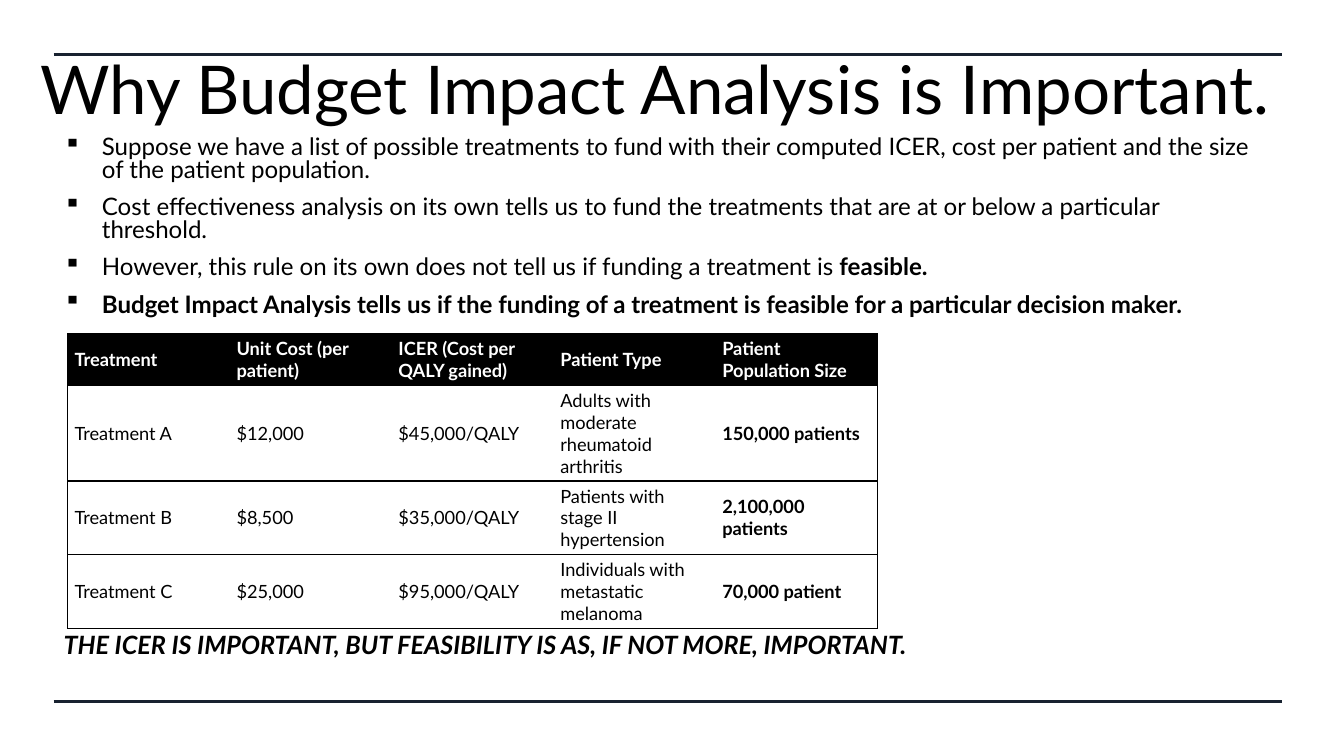
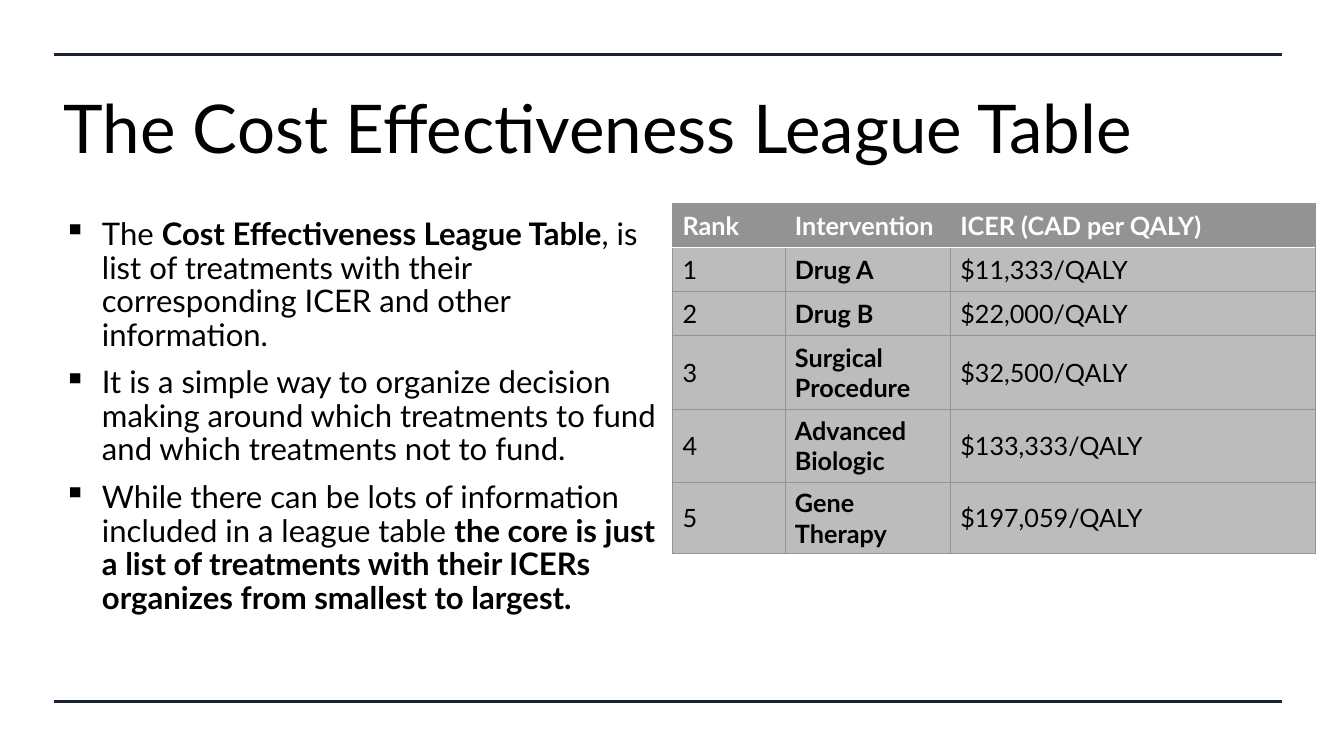
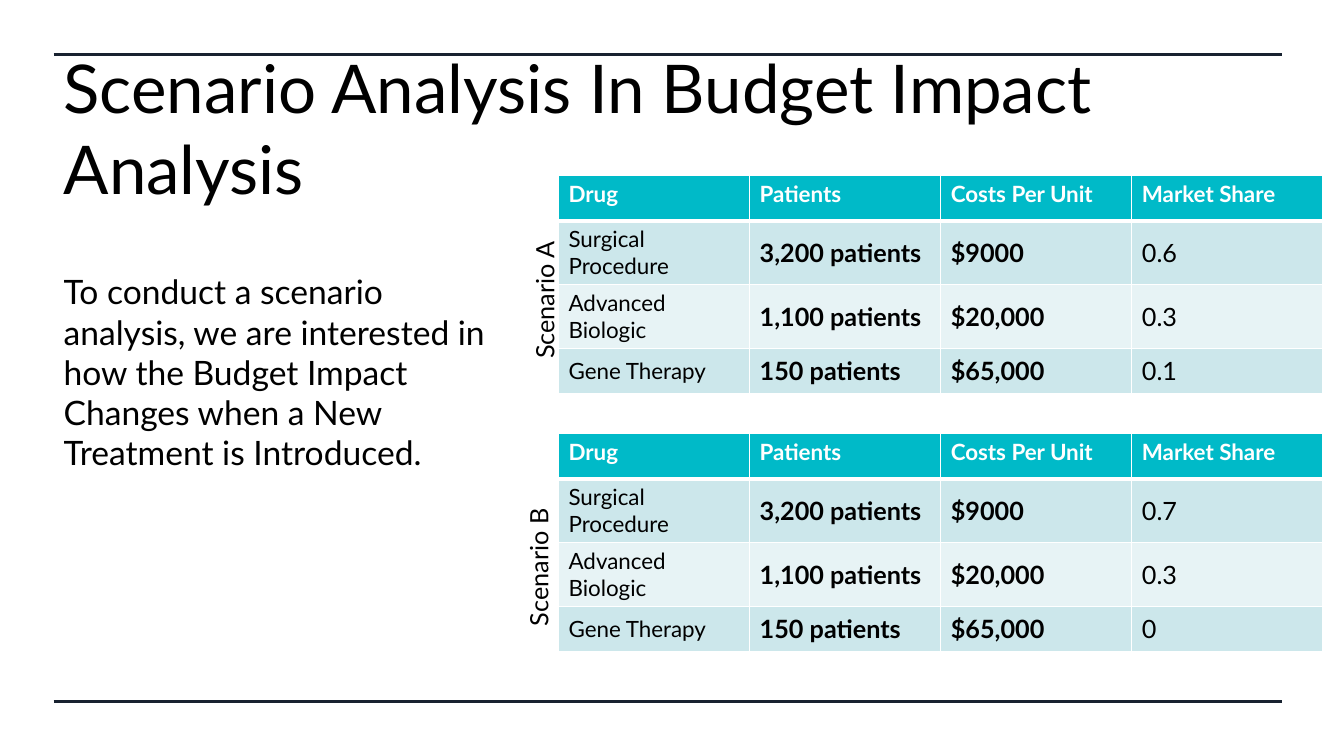
from dataclasses import dataclass
from typing import Any, NamedTuple

from lxml.etree import SubElement as Sub
from pptx import Presentation
from pptx.dml.color import RGBColor as RGB
from pptx.enum.shapes import MSO_CONNECTOR as Link
from pptx.enum.text import MSO_ANCHOR as Anchor
from pptx.oxml.ns import qn
from pptx.util import Emu, Inches, Pt

WIDE, HIGH = Inches(13.33), Inches(7.5)
FACE = "Lato"
BLACK, WHITE, NAVY, GREY, TEAL = "000000", "FFFFFF", "182230", "939393", "00BAC8"
LEFT, RIGHT = 4, 95.4


class Box(NamedTuple):
    x: float
    y: float
    w: float
    h: float


class Edge(NamedTuple):
    tint: str
    size: float


@dataclass(frozen=True)
class Text:
    box: Box
    lines: tuple[str, ...]
    size: float
    gap: float = 1.0
    mark: str = ""
    bold: bool = False
    slant: bool = False
    wrap: bool = True
    turn: int = 0
    anchor: Any = Anchor.TOP


@dataclass(frozen=True)
class Look:
    head: str
    bands: tuple[str, ...]
    edge: Edge
    rule: Edge
    sizes: tuple[float, ...]
    top: float
    bold: tuple[int, ...]
    grid: bool = True
    pad: tuple[float, float] = (0.1, 0.05)
    anchor: Any = Anchor.MIDDLE


@dataclass(frozen=True)
class Grid:
    x: float
    y: float
    cols: tuple[float, ...]
    rows: tuple[float, ...]
    cells: tuple[tuple[str, ...], ...]
    look: Look


TITLE = Box(LEFT, 8.67, 87.25, 16.27)
PLAIN = Look(BLACK, (WHITE,), Edge(BLACK, 1), Edge(BLACK, 1), (13,) * 5, 13, (4,),
             grid=False, pad=(0.07, 0.04))
LEAGUE = Look(GREY, ("BCBCBC",), Edge(GREY, 0.5), Edge(WHITE, 1), (18,) * 3, 18, (1,))
SHARE = Look(TEAL, ("CCE7EB", "E7F3F5"), Edge(WHITE, 1), Edge(WHITE, 3),
             (16, 18, 18, 18), 16, (1, 2), anchor=Anchor.TOP)


def color(code: str) -> RGB:
    """Turn a hex string into a colour."""
    return RGB.from_string(code)


def across(share: float) -> Emu:
    """Turn a percentage of the slide's width into a length."""
    return Emu(round(WIDE * share / 100))


def down(share: float) -> Emu:
    """Turn a percentage of the slide's height into a length."""
    return Emu(round(HIGH * share / 100))


def apply(item: Any, form: dict[str, Any]) -> None:
    """Set each format value on an object."""
    for name, value in form.items():
        setattr(item, name, value)


def write(para: Any, text: str, size: float, tint: str = BLACK,
          bold: bool = False, slant: bool = False) -> None:
    """Add runs to a paragraph, with ** around its bold parts."""
    for n, part in enumerate(text.split("**")):
        if part:
            run = para.add_run()
            run.text = part
            apply(run.font, {"name": FACE, "size": Pt(size),
                             "bold": bold or n % 2 == 1, "italic": slant})
            run.font.color.rgb = color(tint)


def bullet(para: Any, mark: str) -> None:
    """Give a paragraph a hanging bullet."""
    props = para._p.get_or_add_pPr()
    props.set("marL", str(Inches(0.38)))
    props.set("indent", str(-Inches(0.38)))
    Sub(props, qn("a:buChar")).set("char", mark)


def put(slide: Any, text: Text) -> None:
    """Draw a text box."""
    b = text.box
    shape = slide.shapes.add_textbox(across(b.x), down(b.y), across(b.w), down(b.h))
    shape.rotation = text.turn
    frame = shape.text_frame
    apply(frame, {"word_wrap": text.wrap, "vertical_anchor": text.anchor})
    for n, line in enumerate(text.lines):
        para = frame.add_paragraph() if n else frame.paragraphs[0]
        if text.mark:
            bullet(para, text.mark)
        apply(para, {"line_spacing": text.gap, "space_before": Pt(10 if n else 0)})
        write(para, line, text.size, bold=text.bold, slant=text.slant)


def border(cell: Any, sides: dict[str, Edge | None]) -> None:
    """Draw or clear the four borders of a cell."""
    props = cell._tc.get_or_add_tcPr()
    for side, edge in sides.items():
        line = Sub(props, qn(f"a:ln{side}"))
        if edge:
            line.set("w", str(Pt(edge.size)))
            Sub(Sub(line, qn("a:solidFill")), qn("a:srgbClr")).set("val", edge.tint)
        else:
            line.set("w", "0")
            Sub(line, qn("a:noFill"))


def chart(slide: Any, grid: Grid) -> None:
    """Draw a table in its look."""
    look, last = grid.look, len(grid.cols) - 1
    table = slide.shapes.add_table(
        len(grid.rows), len(grid.cols), across(grid.x), down(grid.y),
        across(sum(grid.cols)), down(sum(grid.rows))).table
    apply(table, {"first_row": False, "horz_banding": False})
    for col, share in zip(table.columns, grid.cols):
        col.width = across(share)
    for row, share in zip(table.rows, grid.rows):
        row.height = down(share)
    padx, pady = map(Inches, look.pad)
    for r, texts in enumerate(grid.cells):
        head = r == 0
        for c, text in enumerate(texts):
            cell = table.cell(r, c)
            border(cell, {"L": look.edge if look.grid or c == 0 else None,
                          "R": look.edge if look.grid or c == last else None,
                          "T": look.rule if r == 1 else look.edge,
                          "B": look.rule if head else look.edge})
            cell.fill.solid()
            fill = look.head if head else look.bands[(r - 1) % len(look.bands)]
            cell.fill.fore_color.rgb = color(fill)
            apply(cell, {"margin_left": padx, "margin_right": padx,
                         "margin_top": pady, "margin_bottom": pady,
                         "vertical_anchor": look.anchor if head else Anchor.MIDDLE})
            write(cell.text_frame.paragraphs[0], text,
                  look.top if head else look.sizes[c],
                  WHITE if head else BLACK, head or c in look.bold)


def page(deck: Any, title: str, items: tuple[Text | Grid, ...], box: Box = TITLE) -> None:
    """Add a slide with the shared rules, a title and its items."""
    slide = deck.slides.add_slide(deck.slide_layouts[6])
    for y in (7.2, 92.8):
        line = slide.shapes.add_connector(
            Link.STRAIGHT, across(LEFT), down(y), across(RIGHT), down(y))
        line.line.width = Pt(2.25)
        line.line.color.rgb = color(NAVY)
        Sub(line._element.spPr, qn("a:effectLst"))
    put(slide, Text(box, (title,), 48, anchor=Anchor.MIDDLE))
    for item in items:
        (put if isinstance(item, Text) else chart)(slide, item)


def plan(y: float, parts: tuple[str, str, str]) -> Grid:
    """Make a scenario's table from its market shares."""
    drugs = (("Surgical Procedure", "3,200 patients", "$9000"),
             ("Advanced Biologic", "1,100 patients", "$20,000"),
             ("Gene Therapy", "150 patients", "$65,000"))
    cells = (("Drug", "Patients", "Costs Per Unit", "Market Share"),
             *((*drug, part) for drug, part in zip(drugs, parts)))
    return Grid(41.56, y, (14.22,) * 4, (6,) * 4, cells, SHARE)


def label(text: str, box: Box) -> Text:
    """Make an upright scenario label."""
    return Text(box, (text,), 18, wrap=False, turn=270)


def main() -> None:
    """Build and save the deck."""
    deck = Presentation()
    apply(deck, {"slide_width": WIDE, "slide_height": HIGH})
    page(deck, "Why Budget Impact Analysis is Important.", (
        Text(Box(LEFT, 17.47, 90.17, 26.8), (
            "Suppose we have a list of possible treatments to fund with their computed "
            "ICER, cost per patient and the size of the patient population.",
            "Cost effectiveness analysis on its own tells us to fund the treatments that "
            "are at or below a particular threshold.",
            "However, this rule on its own does not tell us if funding a treatment is "
            "**feasible.**",
            "**Budget Impact Analysis tells us if the funding of a treatment is feasible "
            "for a particular decision maker.**"), 17.2, 0.8, "▪"),
        Grid(5.03, 44.13, (12.05,) * 5, (6.27, 11.73, 9.07, 9.07), (
            ("Treatment", "Unit Cost (per patient)", "ICER (Cost per QALY gained)",
             "Patient Type", "Patient Population Size"),
            ("Treatment A", "$12,000", "$45,000/QALY",
             "Adults with moderate rheumatoid arthritis", "150,000 patients"),
            ("Treatment B", "$8,500", "$35,000/QALY",
             "Patients with stage II hypertension", "2,100,000 patients"),
            ("Treatment C", "$25,000", "$95,000/QALY",
             "Individuals with metastatic melanoma", "70,000 patient")), PLAIN),
        Text(Box(LEFT, 82.53, 70.67, 5.33),
             ("THE ICER IS IMPORTANT, BUT FEASIBILITY IS AS, IF NOT MORE, IMPORTANT.",),
             18, bold=True, slant=True, wrap=False),
    ), Box(2.25, 6.13, 95.5, 10.93))
    page(deck, "The Cost Effectiveness League Table", (
        Text(Box(LEFT, 28.27, 46.06, 58.53), (
            "The **Cost Effectiveness League Table**, is list of treatments with their "
            "corresponding ICER and other information.",
            "It is a simple way to organize decision making around which treatments to "
            "fund and which treatments not to fund.",
            "While there can be lots of information included in a league table **the core "
            "is just a list of treatments with their ICERs organizes from smallest to "
            "largest.**"), 22.2, 0.9, "▪"),
        Grid(50.04, 26.93, (8.36, 12.3, 27.16), (5.83, 5.83, 5.83, 9.73, 9.73, 5.83), (
            ("Rank", "Intervention", "ICER (CAD per QALY)"),
            ("1", "Drug A", "$11,333/QALY"),
            ("2", "Drug B", "$22,000/QALY"),
            ("3", "Surgical Procedure", "$32,500/QALY"),
            ("4", "Advanced Biologic", "$133,333/QALY"),
            ("5", "Gene Therapy", "$197,059/QALY")), LEAGUE)))
    page(deck, "Scenario Analysis In Budget Impact Analysis", (
        plan(57.33, ("0.7", "0.3", "0")),
        Text(Box(LEFT, 35.2, 33.23, 50), (
            "To conduct a scenario analysis, we are interested in how the Budget Impact "
            "Changes when a New Treatment is Introduced.",), 24),
        label("Scenario A", Box(35.26, 36.8, 10.5, 5.33)),
        label("Scenario B", Box(34.88, 72.27, 10.35, 5.33)),
        plan(23.2, ("0.6", "0.3", "0.1"))))
    deck.save("out.pptx")


if __name__ == "__main__":
    main()
